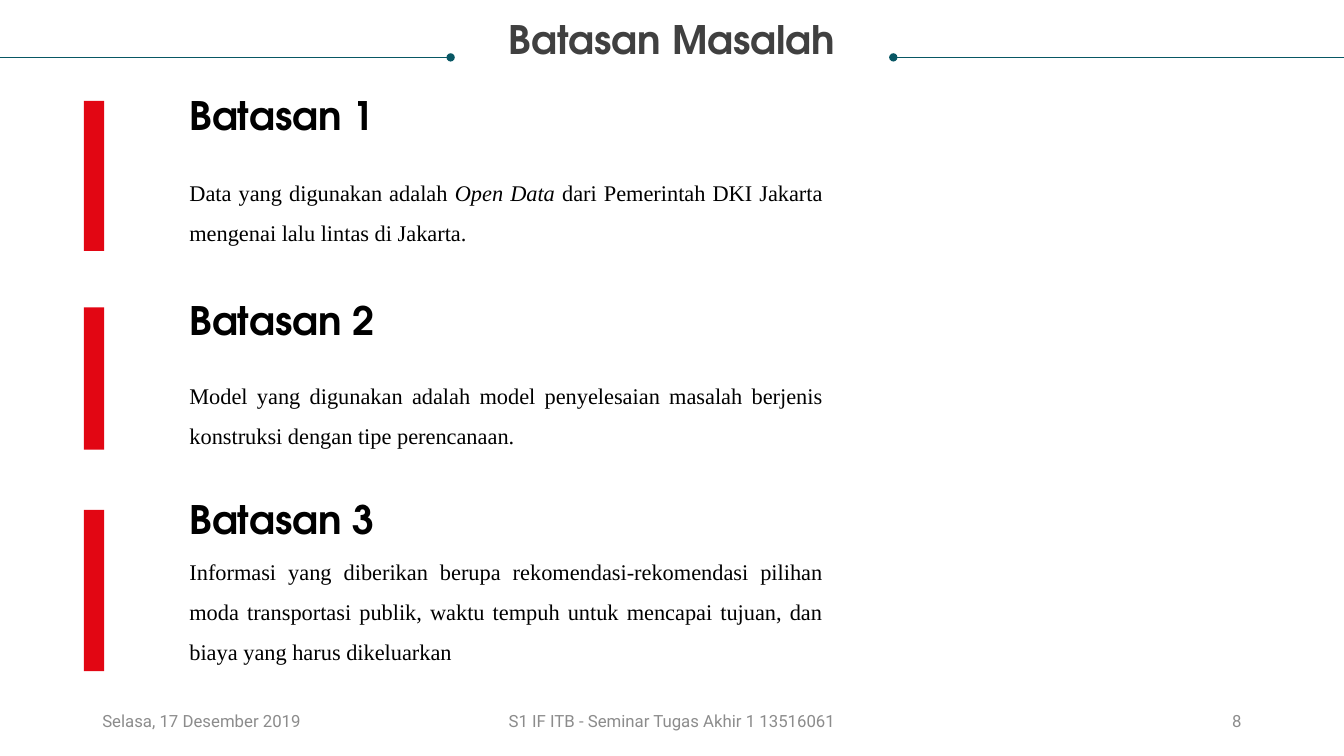
from lxml import etree
from pptx import Presentation
from pptx.dml.color import RGBColor
from pptx.enum.shapes import MSO_CONNECTOR, MSO_SHAPE
from pptx.enum.text import MSO_ANCHOR, PP_ALIGN
from pptx.oxml.ns import qn
from pptx.util import Pt

STRAIGHT, RECTANGLE = MSO_CONNECTOR.STRAIGHT, MSO_SHAPE.RECTANGLE
TOP, MIDDLE, BOTTOM = MSO_ANCHOR.TOP, MSO_ANCHOR.MIDDLE, MSO_ANCHOR.BOTTOM
LEFT, CENTER, RIGHT, JUSTIFY = (
    PP_ALIGN.LEFT, PP_ALIGN.CENTER, PP_ALIGN.RIGHT, PP_ALIGN.JUSTIFY)

WIDTH, HEIGHT = 960, 540
COLORS = {"rule": "085764", "title": "404040", "footer": "8C8C8C",
          "bar": "E20613", "text": "000000"}
DISPLAY, BODY, SMALL = "TeX Gyre Adventor", "Times New Roman", "Roboto"

CONSTRAINTS = [
    {"heading": "Batasan 1", "top": 72, "height": 107.3,
     "heading_box": (9.4, 25.2), "body_box": (38.9, 73.4),
     "runs": [("Data yang digunakan adalah ", False),
              ("Open Data ", True),
              ("dari Pemerintah DKI Jakarta mengenai lalu lintas di Jakarta.",
               False)]},
    {"heading": "Batasan 2", "top": 219.6, "height": 101.5,
     "heading_box": (8.6, 24.5), "body_box": (36.7, 69.8),
     "runs": [("Model yang digunakan adalah model penyelesaian masalah "
               "berjenis konstruksi dengan tipe perencanaan.", False)]},
    {"heading": "Batasan 3", "top": 364.3, "height": 115.2,
     "heading_box": (8.6, 22.3), "body_box": (17.3, 64.1),
     "runs": [("Informasi yang diberikan berupa rekomendasi-rekomendasi "
               "pilihan moda transportasi publik, waktu tempuh untuk mencapai "
               "tujuan, dan biaya yang harus dikeluarkan", False)]},
]


def add_text(shapes, box, runs, font, size, color, align=LEFT, anchor=TOP,
             inset=(7.2, 7.2), spacing=1, gap=0, bold=False):
    """Add a one-paragraph text box; runs are (text, italic) pairs."""
    frame = shapes.add_textbox(*map(Pt, box)).text_frame
    frame.word_wrap = True
    frame.vertical_anchor = anchor
    frame.margin_left = frame.margin_right = Pt(inset[0])
    frame.margin_top = frame.margin_bottom = Pt(inset[1])
    paragraph = frame.paragraphs[0]
    paragraph.alignment = align
    paragraph.line_spacing = spacing
    paragraph.space_before = paragraph.space_after = Pt(gap)
    for text, italic in runs:
        run = paragraph.add_run()
        run.text = text
        run.font.name, run.font.size = font, Pt(size)
        run.font.bold, run.font.italic = bold, italic
        run.font.color.rgb = RGBColor.from_string(COLORS[color])


def add_rule(shapes, start, end, y):
    """Draw a thin rule from a slide edge to a round dot."""
    rule = shapes.add_connector(STRAIGHT, Pt(start), Pt(y), Pt(end), Pt(y))
    rule.line.width = Pt(0.5)
    rule.line.color.rgb = RGBColor.from_string(COLORS["rule"])
    etree.SubElement(rule.line._get_or_add_ln(), qn("a:tailEnd"), type="oval")
    etree.SubElement(rule._element.spPr, qn("a:effectLst"))


def add_header(shapes, left, top, width, height):
    """Place the centred title between two dotted rules."""
    rule_y = top + 26
    rule_length = 321.9
    add_rule(shapes, 0, rule_length, rule_y)
    add_rule(shapes, WIDTH, WIDTH - rule_length, rule_y)
    add_text(shapes, (left, top, width, height), [("Batasan Masalah", False)],
             DISPLAY, 28, "title", CENTER, inset=(0, 0), spacing=0.9, bold=True)


def add_constraint(shapes, left, width, constraint):
    """Group a red bar with its heading and justified description."""
    group = shapes.add_group_shape().shapes
    top = constraint["top"]
    text_left = left + 68.2
    bar = group.add_shape(RECTANGLE, Pt(left), Pt(top), Pt(14.4),
                          Pt(constraint["height"]))
    bar.shadow.inherit = False
    bar.fill.solid()
    bar.fill.fore_color.rgb = RGBColor.from_string(COLORS["bar"])
    bar.line.fill.background()
    offset, height = constraint["heading_box"]
    add_text(group, (text_left, top + offset, 194.4, height),
             [(constraint["heading"], False)], DISPLAY, 28, "text",
             anchor=BOTTOM, spacing=0.9, bold=True)
    offset, height = constraint["body_box"]
    add_text(group, (text_left, top + offset, left + width - text_left, height),
             constraint["runs"], BODY, 16, "text", JUSTIFY,
             spacing=1.5, gap=6)


def add_footer(shapes, left, top, width, height):
    """Place date, seminar name and page number along the bottom."""
    side, middle = 216, 324
    parts = [
        (left, side, "Selasa, 17 Desember 2019", LEFT),
        (left + (width - middle) / 2, middle,
         "S1 IF ITB - Seminar Tugas Akhir 1 13516061", CENTER),
        (left + width - side, side, "8", RIGHT),
    ]
    for part_left, part_width, text, align in parts:
        add_text(shapes, (part_left, top, part_width, height), [(text, False)],
                 SMALL, 12, "footer", align, MIDDLE, inset=(7.2, 3.6))


def main():
    """Build and save the slide."""
    deck = Presentation()
    deck.slide_width, deck.slide_height = Pt(WIDTH), Pt(HEIGHT)
    shapes = deck.slides.add_slide(deck.slide_layouts[6]).shapes
    add_header(shapes, 18, 15, 924, 61)
    for constraint in CONSTRAINTS:
        add_constraint(shapes, 60, 534.8, constraint)
    add_footer(shapes, 66, 500.5, 828, 28.8)
    deck.save("out.pptx")


if __name__ == "__main__":
    main()
